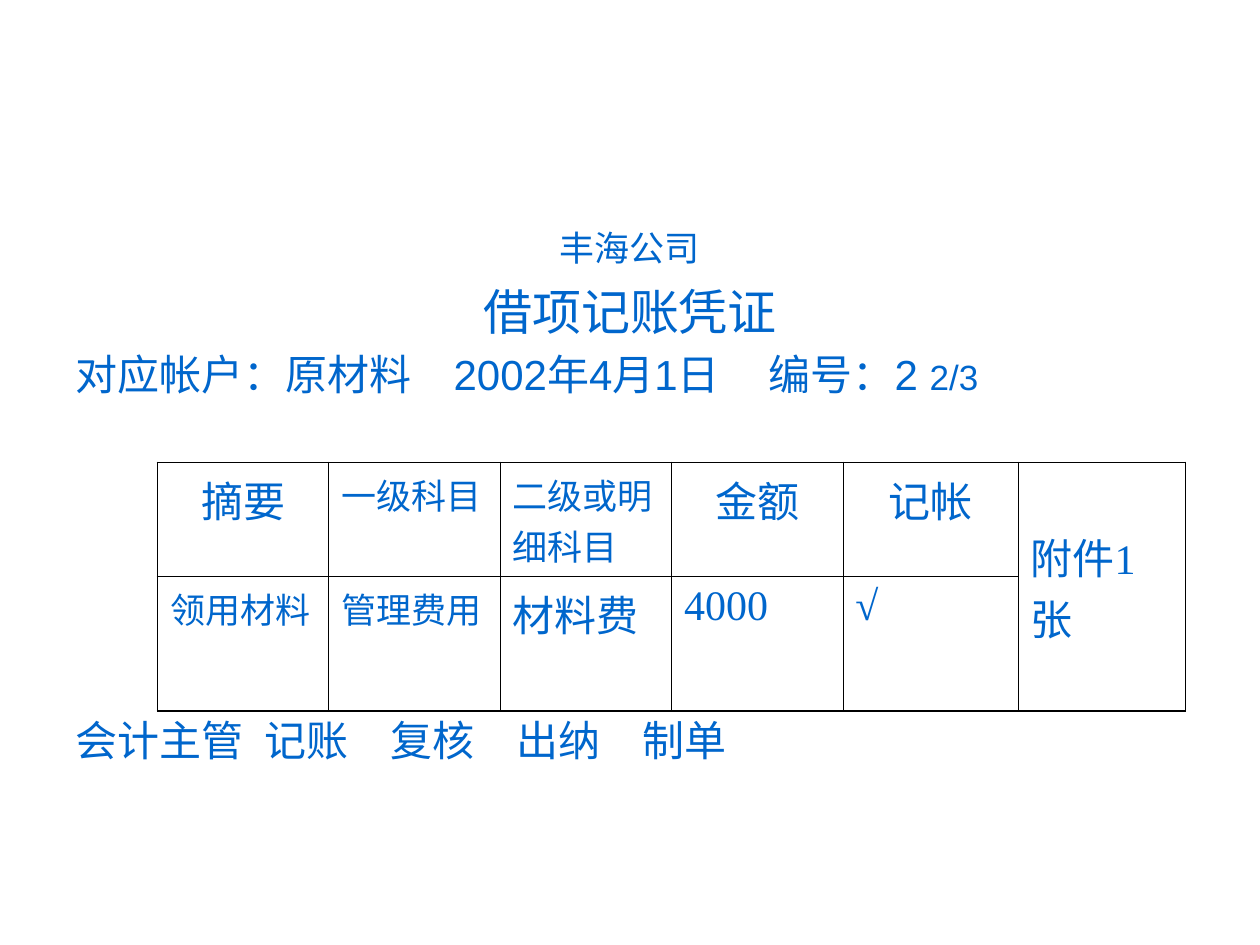
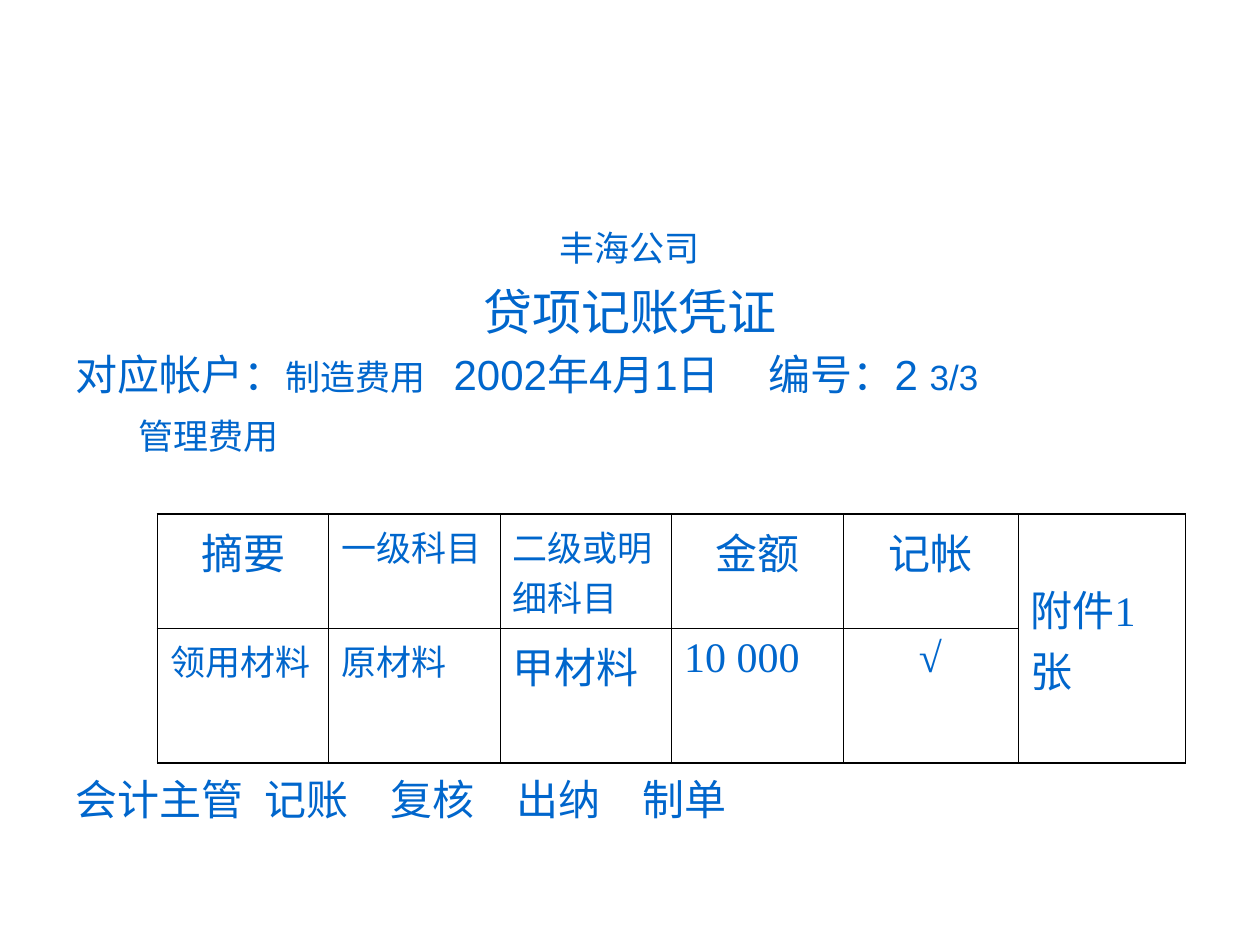
from lxml.etree import SubElement
from pptx import Presentation
from pptx.dml.color import RGBColor
from pptx.enum.lang import MSO_LANGUAGE_ID
from pptx.enum.text import MSO_ANCHOR, MSO_AUTO_SIZE, PP_ALIGN
from pptx.oxml.ns import qn
from pptx.util import Emu, Inches, Pt

BLUE = "0066CC"
BLACK = "000000"
BODY_FONT = "Arial"
TABLE_FONT = "Times New Roman"
SMALL, NORMAL, LARGE = 20, 24, 28
LINE_HEIGHT = 1.2
THIN, THICK = 0.45, 1.08

COMPANY = "丰海公司"
SIGNATURES = "会计主管\t记账\t复核\t出纳\t制单"
SIGNATURE_TABS = (1.92, 3.26, 4.75, 6.31)
TABLE_GAP = 180
COLUMN_WIDTHS = (1.36, 1.36, 1.36, 1.36, 1.39, 1.33)
ROW_HEIGHT = 0.9
HEADER = [
    ("摘要", NORMAL, True),
    ("一级科目", SMALL, False),
    ("二级或明细科目", SMALL, False),
    ("金额", NORMAL, True),
    ("记帐", NORMAL, True),
    ("附件1张", NORMAL, False),
]

VOUCHERS = [
    {
        "title": "借项记账凭证",
        "details": [[("对应帐户：原材料\t2002年4月1日\t编号：2 ", NORMAL), ("2/3", SMALL)]],
        "detail_tabs": [(3.11, 6.75)],
        "table_top": 3.67,
        "entry": [
            ("领用材料", SMALL, False),
            ("管理费用", SMALL, False),
            ("材料费", NORMAL, False),
            ("4000", NORMAL, False),
            ("√", NORMAL, False),
        ],
    },
    {
        "title": "贷项记账凭证",
        "details": [
            [("对应帐户：", NORMAL), ("制造费用", SMALL),
             ("\t2002年4月1日\t编号：2 ", NORMAL), ("3/3", SMALL)],
            [("\t", NORMAL), ("管理费用", SMALL)],
        ],
        "detail_tabs": [(3.15, 6.79), (1.48,)],
        "table_top": 4.08,
        "entry": [
            ("领用材料", SMALL, False),
            ("原材料", SMALL, False),
            ("甲材料", NORMAL, False),
            ("10 000", NORMAL, False),
            ("√", NORMAL, True),
        ],
    },
]


def color(value):
    return RGBColor.from_string(value)


def write(paragraph, runs, font=BODY_FONT, centered=False, before=0, tabs=(), exact=False):
    properties = paragraph._p.get_or_add_pPr()
    properties.set("marL", "0")
    properties.set("indent", "0")
    SubElement(properties, qn("a:buNone"))
    if tabs:
        tab_list = SubElement(properties, qn("a:tabLst"))
        for position in tabs:
            SubElement(tab_list, qn("a:tab"), pos=str(Inches(position)), algn="l")
    paragraph.alignment = PP_ALIGN.CENTER if centered else PP_ALIGN.LEFT
    paragraph.space_before = Pt(before)
    if exact:
        paragraph.line_spacing = Pt(LINE_HEIGHT * max(size for _, size in runs))
    for text, size in runs:
        run = paragraph.add_run()
        run.text = text
        run.font.size = Pt(size)
        run.font.color.rgb = color(BLUE)
        run.font.name = font
        run.font.language_id = MSO_LANGUAGE_ID.SIMPLIFIED_CHINESE
        if exact:
            SubElement(run._r.get_or_add_rPr(), qn("a:ea"), typeface=font)


def fill_body(slide, voucher, width, height):
    body = slide.placeholders[1]
    body.left, body.top = Emu(int(width * 0.05)), Inches(1.75)
    body.width, body.height = Emu(int(width * 0.9)), Emu(int(height * 0.66))
    frame = body.text_frame
    frame.auto_size = MSO_AUTO_SIZE.NONE
    frame.vertical_anchor = MSO_ANCHOR.TOP
    lines = [
        ([(COMPANY, SMALL)], {"centered": True}),
        ([(voucher["title"], LARGE)], {"centered": True, "before": 7}),
    ]
    for runs, tabs in zip(voucher["details"], voucher["detail_tabs"]):
        lines.append((runs, {"before": 5, "tabs": tabs}))
    lines.append(([(SIGNATURES, NORMAL)], {"before": TABLE_GAP, "tabs": SIGNATURE_TABS}))
    for index, (runs, style) in enumerate(lines):
        paragraph = frame.add_paragraph() if index else frame.paragraphs[0]
        write(paragraph, runs, exact=True, **style)


def set_borders(cell, outer_sides):
    properties = cell._tc.get_or_add_tcPr()
    for side in "LRTB":
        weight = THICK if side in outer_sides else THIN
        line = SubElement(properties, qn(f"a:ln{side}"), w=str(Pt(weight)))
        fill = SubElement(line, qn("a:solidFill"))
        SubElement(fill, qn("a:srgbClr"), val=BLACK)
    cell.fill.background()


def add_voucher_table(slide, voucher):
    rows = [HEADER, voucher["entry"]]
    last_column = len(HEADER) - 1
    table = slide.shapes.add_table(
        len(rows), len(HEADER), Inches(1.25), Inches(voucher["table_top"]),
        Inches(sum(COLUMN_WIDTHS)), Inches(ROW_HEIGHT * len(rows))).table
    table.first_row = table.horz_banding = False
    for column, column_width in zip(table.columns, COLUMN_WIDTHS):
        column.width = Inches(column_width)
    attachment = table.cell(0, last_column)
    attachment.merge(table.cell(1, last_column))
    for row_index, row in enumerate(rows):
        for column_index, (text, size, centered) in enumerate(row):
            cell = table.cell(row_index, column_index)
            outer_sides = "B" if row_index else "T"
            if column_index == 0:
                outer_sides += "L"
            if column_index == last_column:
                outer_sides = "TBR"
            set_borders(cell, outer_sides)
            write(cell.text_frame.paragraphs[0], [(text, size)],
                  font=TABLE_FONT, centered=centered)
    attachment.vertical_anchor = MSO_ANCHOR.MIDDLE


def main():
    presentation = Presentation()
    presentation.slide_width, presentation.slide_height = Inches(10), Inches(7.5)
    for voucher in VOUCHERS:
        slide = presentation.slides.add_slide(presentation.slide_layouts[1])
        title = slide.shapes.title
        title.element.getparent().remove(title.element)
        fill_body(slide, voucher, presentation.slide_width, presentation.slide_height)
        add_voucher_table(slide, voucher)
    presentation.save("out.pptx")


if __name__ == "__main__":
    main()
